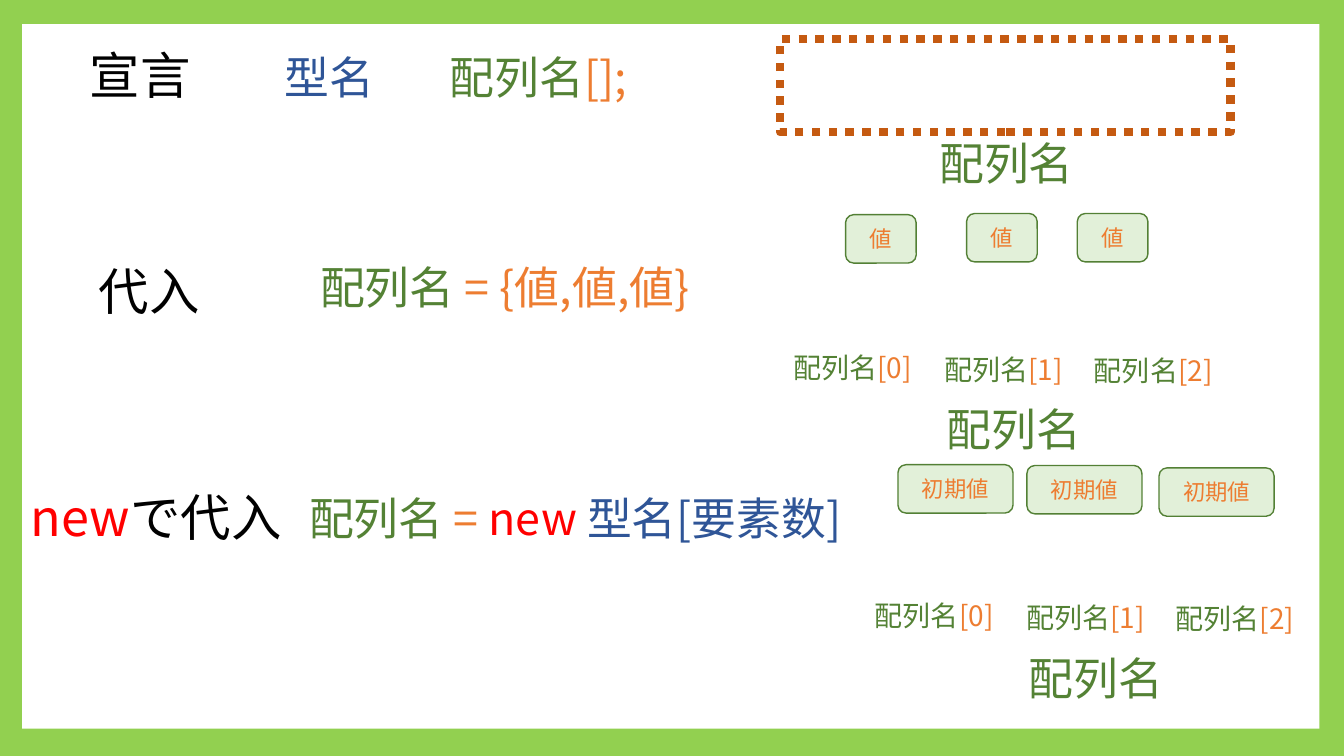
from lxml.etree import SubElement
from pptx import Presentation
from pptx.dml.color import RGBColor
from pptx.enum.dml import MSO_LINE
from pptx.enum.shapes import MSO_SHAPE
from pptx.enum.text import MSO_ANCHOR, MSO_AUTO_SIZE, PP_ALIGN
from pptx.oxml.ns import qn
from pptx.util import Cm, Pt

FONT = "Noto Sans CJK JP"
LIME = RGBColor(0x92, 0xD0, 0x50)
WHITE = RGBColor(0xFF, 0xFF, 0xFF)
BLACK = RGBColor(0x00, 0x00, 0x00)
RED = RGBColor(0xFF, 0x00, 0x00)
BLUE = RGBColor(0x2F, 0x55, 0x97)
GREEN = RGBColor(0x54, 0x82, 0x35)
ORANGE = RGBColor(0xED, 0x7D, 0x31)
RUST = RGBColor(0xC5, 0x5A, 0x11)
PALE_GREEN = RGBColor(0xE2, 0xF0, 0xD9)
EDGE_GREEN = RGBColor(0x53, 0x80, 0x35)

ARRAY_NAME = ("配列名", GREEN)


def write_spans(para, size, spans):
    """Fill a paragraph with (text, colour) spans in one font and size."""
    para.font.size = Pt(size)
    para.font.name = FONT
    defaults = para._p.pPr.find(qn("a:defRPr"))
    SubElement(defaults, qn("a:ea")).set("typeface", FONT)
    for text, colour in spans:
        span = para.add_run()
        span.text = text
        span.font.color.rgb = colour


def add_text(page, left, top, width, size, spans, tab=None):
    height = size * 0.05
    box = page.shapes.add_textbox(Cm(left), Cm(top), Cm(width), Cm(height))
    frame = box.text_frame
    frame.word_wrap = True
    frame.auto_size = MSO_AUTO_SIZE.SHAPE_TO_FIT_TEXT
    para = frame.paragraphs[0]
    if tab:
        stops = SubElement(para._p.get_or_add_pPr(), qn("a:tabLst"))
        stop = SubElement(stops, qn("a:tab"))
        stop.set("pos", str(Cm(tab)))
        stop.set("algn", "l")
    write_spans(para, size, spans)


def add_panel(page):
    panel = page.shapes.add_shape(
        MSO_SHAPE.RECTANGLE, Cm(0.56), Cm(0.61), Cm(32.69), Cm(17.75))
    panel.shadow.inherit = False
    panel.fill.solid()
    panel.fill.fore_color.rgb = WHITE
    panel.line.fill.background()


def add_empty_array(page):
    frame = page.shapes.add_shape(
        MSO_SHAPE.RECTANGLE, Cm(19.66), Cm(0.99), Cm(11.35), Cm(2.34))
    frame.shadow.inherit = False
    frame.fill.background()
    frame.line.color.rgb = RUST
    frame.line.width = Pt(6)
    frame.line.dash_style = MSO_LINE.ROUND_DOT


def add_value(page, left, top, width, text):
    value = page.shapes.add_shape(
        MSO_SHAPE.ROUNDED_RECTANGLE, Cm(left), Cm(top), Cm(width), Cm(1.22))
    value.shadow.inherit = False
    value.fill.solid()
    value.fill.fore_color.rgb = PALE_GREEN
    value.line.color.rgb = EDGE_GREEN
    value.line.width = Pt(1)
    value.text_frame.vertical_anchor = MSO_ANCHOR.MIDDLE
    para = value.text_frame.paragraphs[0]
    para.alignment = PP_ALIGN.CENTER
    write_spans(para, 16, [(text, ORANGE)])


def add_array_labels(page, left, top):
    """Label the three elements, and the whole array below them."""
    add_text(page, left + 3.87, top + 1.3, 3.94, 32, [ARRAY_NAME])
    for index, (across, down) in enumerate([(0, 0), (3.81, 0.05), (7.58, 0.08)]):
        add_text(page, left + across, top + down, 3.91, 20,
                 [ARRAY_NAME, (f"[{index}]", ORANGE)])


def main():
    deck = Presentation()
    deck.slide_width, deck.slide_height = Cm(33.87), Cm(19.05)
    page = deck.slides.add_slide(deck.slide_layouts[6])
    page.background.fill.solid()
    page.background.fill.fore_color.rgb = LIME
    add_panel(page)

    add_text(page, 2.01, 0.99, 3.07, 36, [("宣言", BLACK)])
    add_text(page, 6.93, 1.14, 9.55, 32,
             [("型名\t", BLUE), ARRAY_NAME, ("[];", ORANGE)], tab=4.16)
    add_empty_array(page)
    add_text(page, 23.42, 3.3, 3.94, 32, [ARRAY_NAME])

    add_text(page, 2.24, 6.43, 3.07, 36, [("代入", BLACK)])
    add_text(page, 7.82, 6.43, 11.02, 32,
             [("配列名 ", GREEN), ("= {値,値,値}", ORANGE)])
    add_array_labels(page, 19.74, 8.71)

    add_text(page, 0.53, 12.12, 6.93, 36, [("new", RED), ("で代入", BLACK)])
    add_text(page, 7.54, 12.24, 15.14, 32,
             [("配列名 ", GREEN), ("= ", ORANGE), ("new ", RED),
              ("型名[要素数]", BLUE)])
    add_array_labels(page, 21.8, 14.96)

    for left, top in [(21.31, 5.41), (24.36, 5.38), (27.15, 5.38)]:
        add_value(page, left, top, 1.78, "値")
    for left, top in [(22.63, 11.71), (25.88, 11.73), (29.21, 11.79)]:
        add_value(page, left, top, 2.9, "初期値")

    deck.save("out.pptx")


if __name__ == "__main__":
    main()
